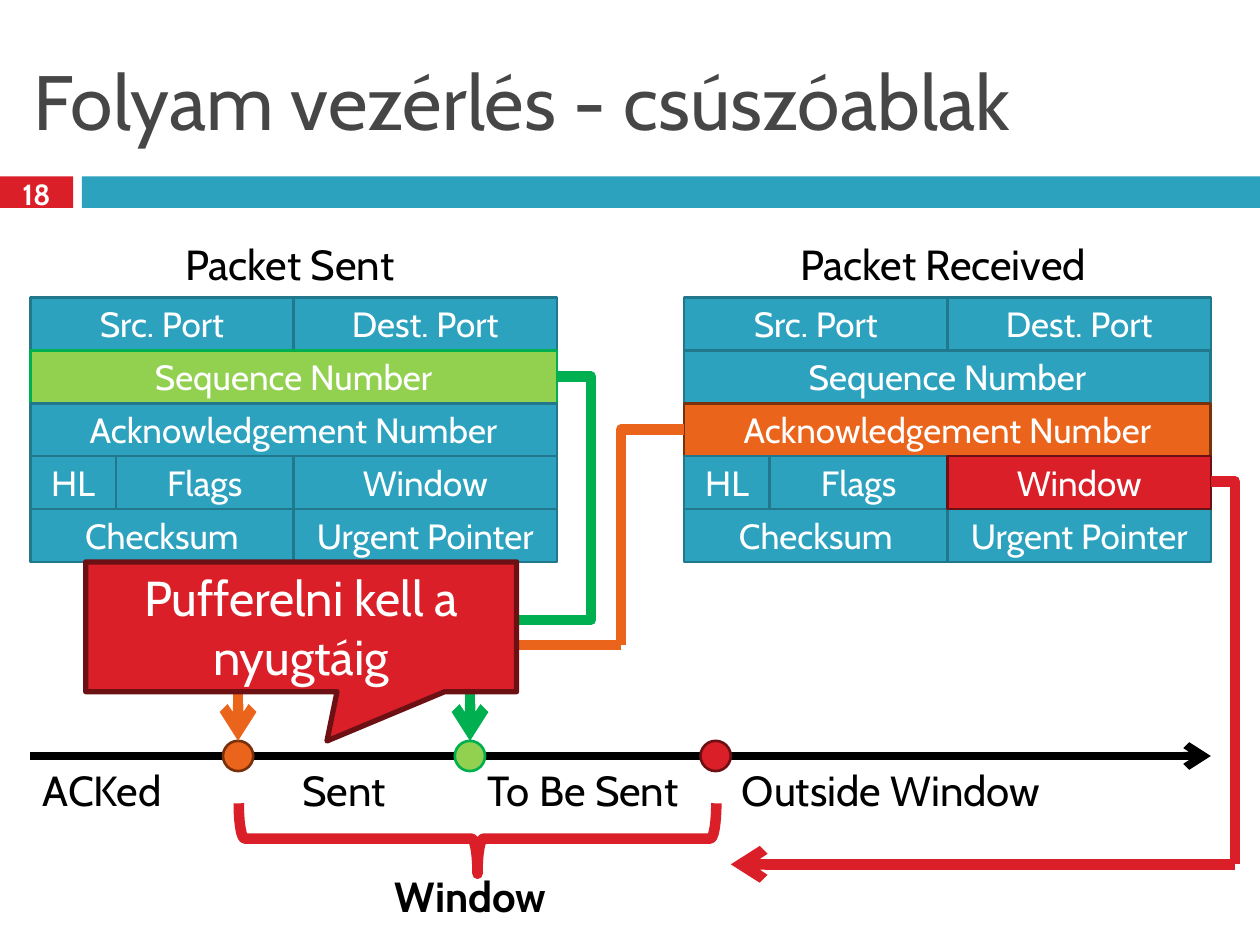
"""Build the sliding-window flow control slide."""
from dataclasses import dataclass
from typing import NamedTuple

from lxml import etree
from pptx import Presentation
from pptx.dml.color import RGBColor
from pptx.enum import shapes as kinds, text as txt
from pptx.oxml import ns
from pptx.util import Inches, Pt


class Paint(NamedTuple):
    """Fill and outline colours."""
    fill: str
    line: str


@dataclass(frozen=True)
class Theme:
    """Colours, font and type sizes."""
    font: str = "Cabin"
    white: str = "FFFFFF"
    black: str = "000000"
    heading: str = "464646"
    blue: Paint = Paint("2DA2BF", "21788D")
    green: Paint = Paint("92D050", "00B050")
    orange: Paint = Paint("EB641B", "78310B")
    red: Paint = Paint("DA1F28", "6D1014")
    title_size: float = 44
    callout_size: float = 28
    label_size: float = 24
    field_size: float = 20
    number_size: float = 16.6


class Field(NamedTuple):
    """Header field: name, row, offset from the packet's left edge, width."""
    name: str
    row: int
    offset: float
    width: float


class Label(NamedTuple):
    """Text label: wording, box, alignment and weight."""
    wording: str
    left: float
    top: float
    width: float
    height: float = 0.5
    centred: bool = False
    bold: bool = False


class Route(NamedTuple):
    """Elbow running across first and then down."""
    start: tuple[float, float]
    end: tuple[float, float]
    color: str
    arrow: bool = False


THEME = Theme()
ROW_TOP, ROW_HEIGHT = 2.36, 0.42
HALF = 2.09
SENT_LEFT, RECEIVED_LEFT = 0.24, 5.43
AXIS_Y, DOT = 6, 0.24

FIELDS = [
    Field("Src. Port", 0, 0, HALF),
    Field("Dest. Port", 0, HALF, HALF),
    Field("Sequence Number", 1, 0, 2 * HALF),
    Field("Acknowledgement Number", 2, 0, 2 * HALF),
    Field("HL", 3, 0, 0.68),
    Field("Flags", 3, 0.68, HALF - 0.68),
    Field("Checksum", 4, 0, HALF),
    Field("Urgent Pointer", 4, HALF, HALF),
    Field("Window", 3, HALF, HALF),
]
PACKETS = [
    (SENT_LEFT, {"Sequence Number": THEME.green}),
    (RECEIVED_LEFT, {"Acknowledgement Number": THEME.orange, "Window": THEME.red}),
]
LABELS = [
    Label("Packet Sent", 1.29, 1.84, 2.02, centred=True),
    Label("Packet Received", 6.12, 1.84, 2.73, centred=True),
    Label("ACKed", 0.24, 6.02, 1.27),
    Label("Sent", 2.3, 6.02, 0.89),
    Label("To Be Sent", 3.77, 6.02, 1.85),
    Label("Outside Window", 5.79, 6.02, 2.65),
    Label("Window", 2.99, 6.86, 1.49, 0.68, centred=True, bold=True),
]
DOTS = [(1.89, THEME.orange), (3.73, THEME.green), (5.68, THEME.red)]
ROUTES = [
    Route((5.43, 3.41), (4.93, 5.12), THEME.orange.fill),
    Route((4.93, 5.12), (1.89, 5.88), THEME.orange.fill, arrow=True),
    Route((4.43, 2.99), (4.69, 3.96), THEME.green.line),
    Route((9.61, 3.82), (9.8, 6.86), THEME.red.fill),
]


def write(shape, wording: str, size: float, color: str, centred: bool = True,
          bold: bool = False, wrap: bool = True, middle: bool = True) -> None:
    """Put one styled paragraph into a shape."""
    frame = shape.text_frame
    frame.word_wrap = wrap
    frame.vertical_anchor = txt.MSO_ANCHOR.MIDDLE if middle else txt.MSO_ANCHOR.TOP
    paragraph = frame.paragraphs[0]
    paragraph.text = wording
    paragraph.alignment = txt.PP_ALIGN.CENTER if centred else txt.PP_ALIGN.LEFT
    font = paragraph.font
    font.name, font.size, font.bold = THEME.font, Pt(size), bold
    font.color.rgb = RGBColor.from_string(color)


def add_box(slide, kind, left: float, top: float, width: float, height: float,
            fill: str | None, line: str | None = None, weight: float = 1.5):
    """Add a preset shape with a flat fill and optional outline."""
    shape = slide.shapes.add_shape(kind, Inches(left), Inches(top), Inches(width), Inches(height))
    shape.shadow.inherit = False
    if fill:
        shape.fill.solid()
        shape.fill.fore_color.rgb = RGBColor.from_string(fill)
    else:
        shape.fill.background()
    if line:
        shape.line.color.rgb = RGBColor.from_string(line)
        shape.line.width = Pt(weight)
    else:
        shape.line.fill.background()
    return shape


def add_text(slide, left: float, top: float, width: float, height: float):
    """Add an empty text box."""
    return slide.shapes.add_textbox(Inches(left), Inches(top), Inches(width), Inches(height))


def add_line(slide, kind, start: tuple[float, float], end: tuple[float, float],
             color: str, weight: float = 6, arrow: bool = False):
    """Add a connector, with an arrowhead at its end if asked."""
    connector = slide.shapes.add_connector(kind, *map(Inches, start), *map(Inches, end))
    connector.line.color.rgb = RGBColor.from_string(color)
    connector.line.width = Pt(weight)
    if arrow:
        etree.SubElement(connector.line._get_or_add_ln(), ns.qn("a:tailEnd"), type="arrow")
    etree.SubElement(connector._element.spPr, ns.qn("a:effectLst"))
    return connector


def add_packet(slide, left: float, highlights: dict[str, Paint]) -> None:
    """Draw a packet header with its highlighted fields."""
    for field in FIELDS:
        paint = highlights.get(field.name, THEME.blue)
        cell = add_box(slide, kinds.MSO_SHAPE.RECTANGLE, left + field.offset,
                       ROW_TOP + field.row * ROW_HEIGHT, field.width, ROW_HEIGHT, *paint)
        write(cell, field.name, THEME.field_size, THEME.white)


def add_route(slide, route: Route) -> None:
    """Draw a single-corner elbow."""
    elbow = add_line(slide, kinds.MSO_CONNECTOR.ELBOW, route.start, route.end,
                     route.color, arrow=route.arrow)
    elbow._element.spPr.find(ns.qn("a:prstGeom")).set("prst", "bentConnector2")


def main() -> None:
    """Build and save the slide."""
    deck = Presentation()
    deck.slide_width, deck.slide_height = Inches(10), Inches(7.5)
    slide = deck.slides.add_slide(deck.slide_layouts[6])
    shape, line = kinds.MSO_SHAPE, kinds.MSO_CONNECTOR

    add_box(slide, shape.RECTANGLE, 0, 1.4, 0.58, 0.25, THEME.red.fill)
    add_box(slide, shape.RECTANGLE, 0.65, 1.4, 9.35, 0.25, THEME.blue.fill)
    write(add_text(slide, 0.17, 0.25, 9.67, 1.08), "Folyam vezérlés - csúszóablak",
          THEME.title_size, THEME.heading, centred=False)
    write(add_text(slide, 0, 1.37, 0.58, 0.33), "18", THEME.number_size, THEME.white, bold=True)

    for left, highlights in PACKETS:
        add_packet(slide, left, highlights)
    add_line(slide, line.STRAIGHT, (0.24, AXIS_Y), (9.61, AXIS_Y), THEME.black, 4.5, arrow=True)
    for label in LABELS:
        write(add_text(slide, label.left, label.top, label.width, label.height), label.wording,
              THEME.label_size, THEME.black, label.centred, label.bold, wrap=False, middle=False)
    for center, paint in DOTS:
        add_box(slide, shape.OVAL, center - DOT / 2, AXIS_Y - DOT / 2, DOT, DOT, *paint)

    for route in ROUTES:
        add_route(slide, route)
    sequence_arrow = add_line(slide, line.ELBOW, (3.25, 4.44), (5.17, 5.4),
                              THEME.green.line, arrow=True)
    sequence_arrow._element.spPr.find(ns.qn("a:xfrm")).set("rot", "5400000")
    add_line(slide, line.STRAIGHT, (9.8, 6.86), (5.8, 6.86), THEME.red.fill, arrow=True)
    brace = add_box(slide, shape.LEFT_BRACE, 3.51, 4.76, 0.56, 3.79, None, THEME.red.fill, 6)
    brace.rotation = 270

    callout = add_box(slide, shape.RECTANGULAR_CALLOUT, 0.68, 4.46, 3.42, 1.03, *THEME.red, 3)
    callout.adjustments[0], callout.adjustments[1] = 0.06, 0.88
    write(callout, "Pufferelni kell a nyugtáig", THEME.callout_size, THEME.white)
    deck.save("out.pptx")


if __name__ == "__main__":
    main()
